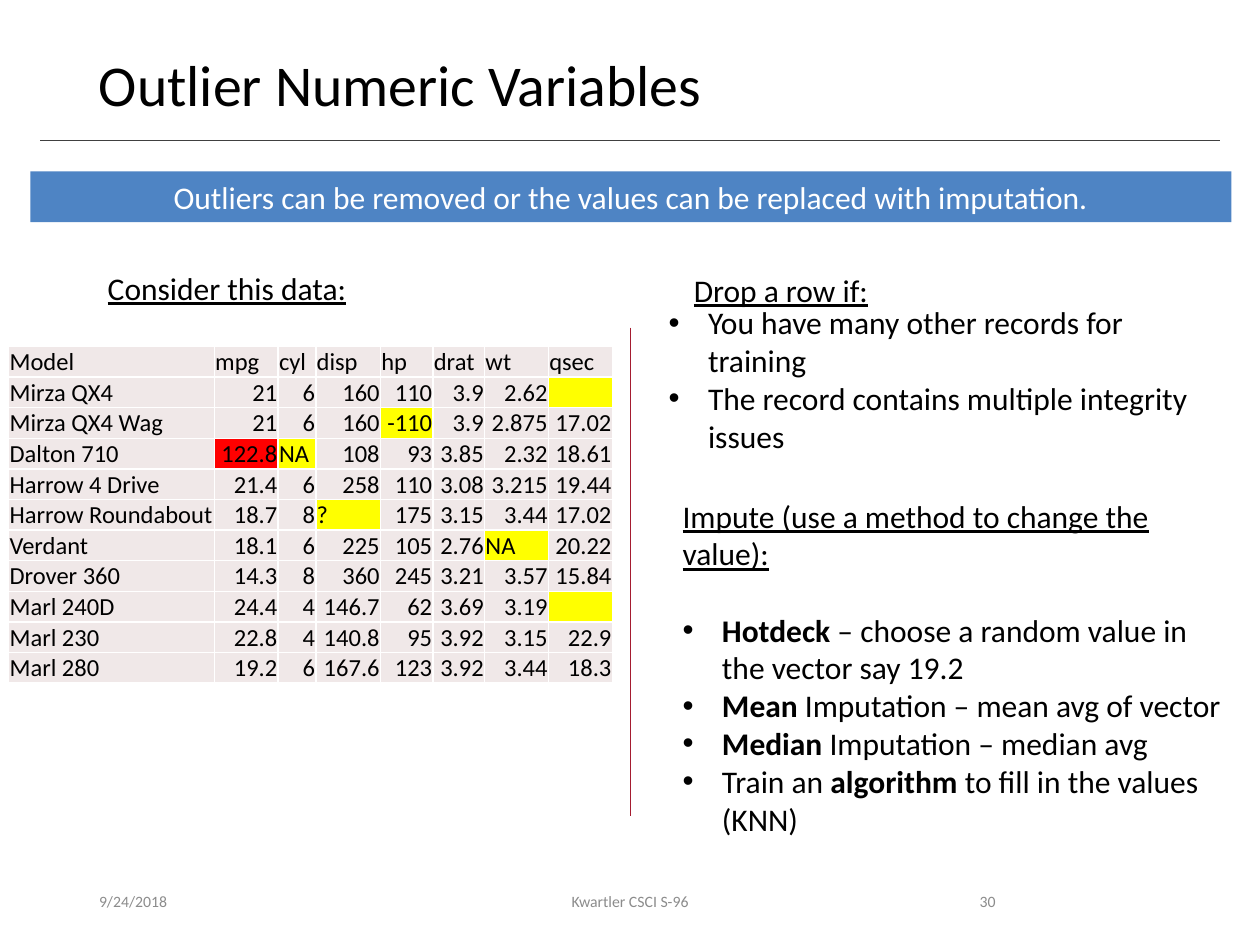
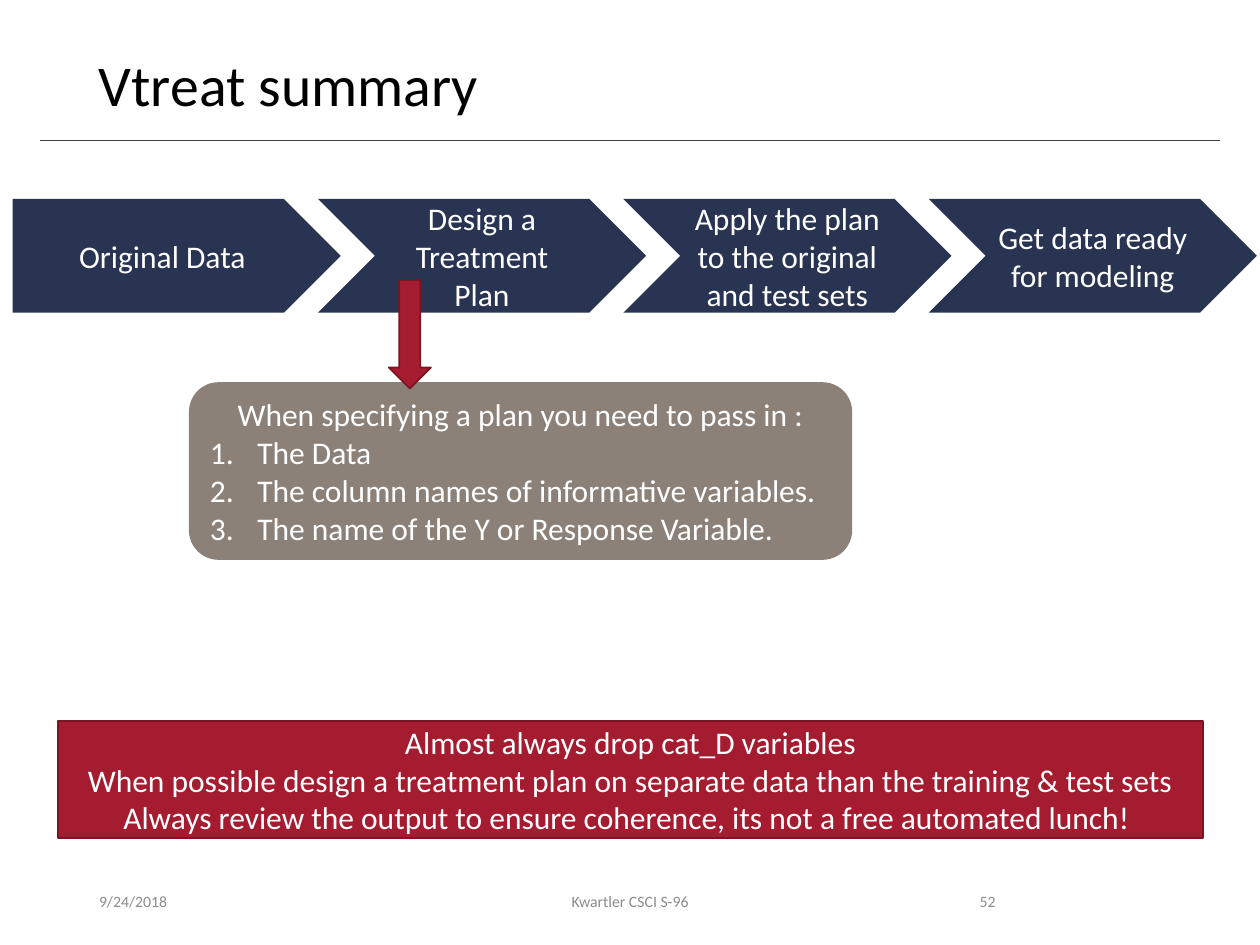
from lxml.etree import SubElement
from pptx import Presentation
from pptx.dml.color import RGBColor
from pptx.enum.shapes import MSO_CONNECTOR, MSO_SHAPE
from pptx.enum.text import MSO_ANCHOR, PP_ALIGN
from pptx.oxml.ns import qn
from pptx.util import Pt

FONT = "Calibri"
RED, EDGE, NAVY, BLUE, TAUPE = "A51C30", "7A1524", "293352", "4E84C4", "8C8179"
BLACK, WHITE, GRAY, RULE = "000000", "FFFFFF", "8C8C8C", "404040"
PALE, WARN, ALARM = "F0E8E8", "FFFF00", "FF0000"
LEFT, MID, RIGHT = PP_ALIGN.LEFT, PP_ALIGN.CENTER, PP_ALIGN.RIGHT

WIDTHS = [117.5, 36.5, 21.5, 37, 30, 29.5, 36.5, 36.5]
CARS = [
    ["Model", "mpg", "cyl", "disp", "hp", "drat", "wt", "qsec"],
    ["Mirza QX4", "21", "6", "160", "110", "3.9", "2.62", ""],
    ["Mirza QX4 Wag", "21", "6", "160", "-110", "3.9", "2.875", "17.02"],
    ["Dalton 710", "122.8", "NA", "108", "93", "3.85", "2.32", "18.61"],
    ["Harrow 4 Drive", "21.4", "6", "258", "110", "3.08", "3.215", "19.44"],
    ["Harrow Roundabout", "18.7", "8", "?", "175", "3.15", "3.44", "17.02"],
    ["Verdant", "18.1", "6", "225", "105", "2.76", "NA", "20.22"],
    ["Drover 360", "14.3", "8", "360", "245", "3.21", "3.57", "15.84"],
    ["Marl 240D", "24.4", "4", "146.7", "62", "3.69", "3.19", ""],
    ["Marl 230", "22.8", "4", "140.8", "95", "3.92", "3.15", "22.9"],
    ["Marl 280", "19.2", "6", "167.6", "123", "3.92", "3.44", "18.3"],
]
FLAGS = {"": WARN, "NA": WARN, "?": WARN, "-110": WARN, "122.8": ALARM}
DROPS = ["You have many other records for training",
         "The record contains multiple integrity issues"]
FIXES = [
    [("Hotdeck", "b"), (" – choose a random value in the vector say 19.2", "")],
    [("Mean", "b"), (" Imputation – mean avg of vector", "")],
    [("Median", "b"), (" Imputation – median avg", "")],
    [("Train an ", ""), ("algorithm", "b"), (" to fill in the values (KNN)", "")],
]
STEPS = ["Original Data", "Design a Treatment Plan",
         "Apply the plan to the original and test sets",
         "Get data ready for modeling"]
INPUTS = ["The Data", "The column names of informative variables.",
          "The name of the Y or Response Variable."]
TIPS = ["Almost always drop cat_D variables",
        "When possible design a treatment plan on separate data than the training & test sets",
        "Always review the output to ensure coherence, its not a free automated lunch! "]


def paint(code):
    return RGBColor.from_string(code)


def points(*nums):
    return [Pt(num) for num in nums]


def write(frame, runs, size=18, color=BLACK, align=LEFT, mark=None, hang=22.5, first=False):
    """Add one paragraph; runs is a string or (text, style) pairs, style of b and u."""
    para = frame.paragraphs[0] if first else frame.add_paragraph()
    para.alignment = align
    if mark:
        props = para._p.get_or_add_pPr()
        props.set("marL", str(Pt(hang)))
        props.set("indent", str(-Pt(hang)))
        if mark == "1.":
            SubElement(props, qn("a:buAutoNum"), type="arabicPeriod")
        else:
            SubElement(props, qn("a:buFont"), typeface="Arial")
            SubElement(props, qn("a:buChar"), char=mark)
    for text, style in [(runs, "")] if isinstance(runs, str) else runs:
        run = para.add_run()
        run.text = text
        font = run.font
        font.name, font.size, font.color.rgb = FONT, Pt(size), paint(color)
        font.bold, font.underline = "b" in style, "u" in style
    return para


def label(slide, box, runs, anchor=MSO_ANCHOR.TOP, **look):
    frame = slide.shapes.add_textbox(*points(*box)).text_frame
    frame.word_wrap = True
    frame.vertical_anchor = anchor
    write(frame, runs, first=True, **look)
    return frame


def block(slide, kind, box, fill, lines=(), edge=None):
    """Add a filled shape with centred white lines."""
    shape = slide.shapes.add_shape(kind, *points(*box))
    shape.shadow.inherit = False
    shape.fill.solid()
    shape.fill.fore_color.rgb = paint(fill)
    if edge:
        shape.line.color.rgb = paint(edge)
        shape.line.width = Pt(1)
    else:
        shape.line.fill.background()
    frame = shape.text_frame
    frame.word_wrap = True
    frame.vertical_anchor = MSO_ANCHOR.MIDDLE
    for num, line in enumerate(lines):
        write(frame, line, color=WHITE, align=MID, first=num == 0)
    return frame


def stroke(slide, start, end, color):
    line = slide.shapes.add_connector(MSO_CONNECTOR.STRAIGHT, *points(*start, *end))
    line.line.color.rgb = paint(color)
    line.line.width = Pt(0.5)
    SubElement(line._element.spPr, qn("a:effectLst"))


def base(deck, title, page):
    """Add a slide with the shared title, rule and footer."""
    slide = deck.slides.add_slide(deck.slide_layouts[6])
    stroke(slide, (23, 80.5), (697, 80.5), RULE)
    frame = label(slide, (49.5, 28.8, 621, 46.8), title, size=33)
    frame.paragraphs[0].line_spacing = 0.9
    for left, wide, text, align in [(49.5, 162, "9/24/2018", LEFT),
                                    (238.5, 243, "Kwartler CSCI S-96", MID),
                                    (508.5, 67.5, page, RIGHT)]:
        label(slide, (left, 500.5, wide, 28.8), text, MSO_ANCHOR.MIDDLE,
              size=9, color=GRAY, align=align)
    return slide


def border(cell):
    props = cell._tc.get_or_add_tcPr()
    for side in ("lnL", "lnR", "lnT", "lnB"):
        line = SubElement(props, qn("a:" + side), w=str(Pt(1)))
        SubElement(SubElement(line, qn("a:solidFill")), qn("a:srgbClr"), val=WHITE)


def grid(slide, left, top):
    """Add the car table, with suspect values highlighted."""
    high = 17.5
    box = points(left, top, sum(WIDTHS), high * len(CARS))
    table = slide.shapes.add_table(len(CARS), len(WIDTHS), *box).table
    table.first_row = table.horz_banding = False
    for col, wide in zip(table.columns, WIDTHS):
        col.width = Pt(wide)
    for y, row in enumerate(CARS):
        table.rows[y].height = Pt(high)
        for x, value in enumerate(row):
            cell = table.cell(y, x)
            border(cell)
            cell.fill.solid()
            cell.fill.fore_color.rgb = paint(FLAGS.get(value, PALE))
            cell.margin_left = cell.margin_right = Pt(0.5)
            cell.margin_top, cell.margin_bottom = Pt(0.5), 0
            cell.vertical_anchor = MSO_ANCHOR.BOTTOM if x else MSO_ANCHOR.MIDDLE
            if value:
                plain = y == 0 or x == 0 or value in ("NA", "?")
                write(cell.text_frame, value, 14, align=LEFT if plain else RIGHT, first=True)
            else:
                para = cell.text_frame.paragraphs[0]
                SubElement(para._p, qn("a:endParaRPr"), sz="1400")


def advice(slide, left, top):
    """Add the column on dropping and imputing."""
    frame = label(slide, (left, top + 18.7, 317, 94.5), DROPS[0], mark="•")
    write(frame, DROPS[1], mark="•")
    label(slide, (left + 14.4, top, 116, 29), [("Drop a row if:", "u")])
    frame = label(slide, (left + 8, top + 129, 323.5, 204),
                  [("Impute (use a method to change the value):", "u")])
    for num, runs in enumerate(FIXES):
        para = write(frame, runs, mark="•")
        if num == 0:
            para.space_before = Pt(22)


def flow(slide, left, top, step):
    """Add the row of process arrows."""
    for num, text in enumerate(STEPS):
        kind = MSO_SHAPE.CHEVRON if num else MSO_SHAPE.PENTAGON
        block(slide, kind, (left + num * step, top, 187.5, 65), NAVY, [text])


def needs(slide, left, top):
    """Add the panel of plan inputs and the arrow that leads to it."""
    frame = block(slide, MSO_SHAPE.ROUNDED_RECTANGLE, (left, top, 379, 101.5), TAUPE,
                  ["When specifying a plan you need to pass in :"])
    for text in INPUTS:
        write(frame, text, color=WHITE, mark="1.", hang=27)
    block(slide, MSO_SHAPE.DOWN_ARROW, (left + 114.2, top - 58.4, 24, 62), RED, edge=EDGE)


def outliers(deck):
    slide = base(deck, "Outlier Numeric Variables", "30")
    block(slide, MSO_SHAPE.RECTANGLE, (17.3, 98, 686.4, 29), BLUE,
          ["Outliers can be removed or the values can be replaced with imputation."])
    label(slide, (54.5, 150, 153, 29), [("Consider this data:", "u")])
    grid(slide, 5, 198)
    stroke(slide, (360, 187.2), (360, 466.5), RED)
    advice(slide, 375, 151.2)


def summary(deck):
    slide = base(deck, "Vtreat summary", "52")
    flow(slide, 7.2, 113.7, 174.5)
    block(slide, MSO_SHAPE.RECTANGLE, (33, 412, 654.5, 67), RED, TIPS, EDGE)
    needs(slide, 108, 218.4)


def main():
    deck = Presentation()
    deck.slide_width, deck.slide_height = points(720, 540)
    outliers(deck)
    summary(deck)
    deck.save("out.pptx")


if __name__ == "__main__":
    main()
